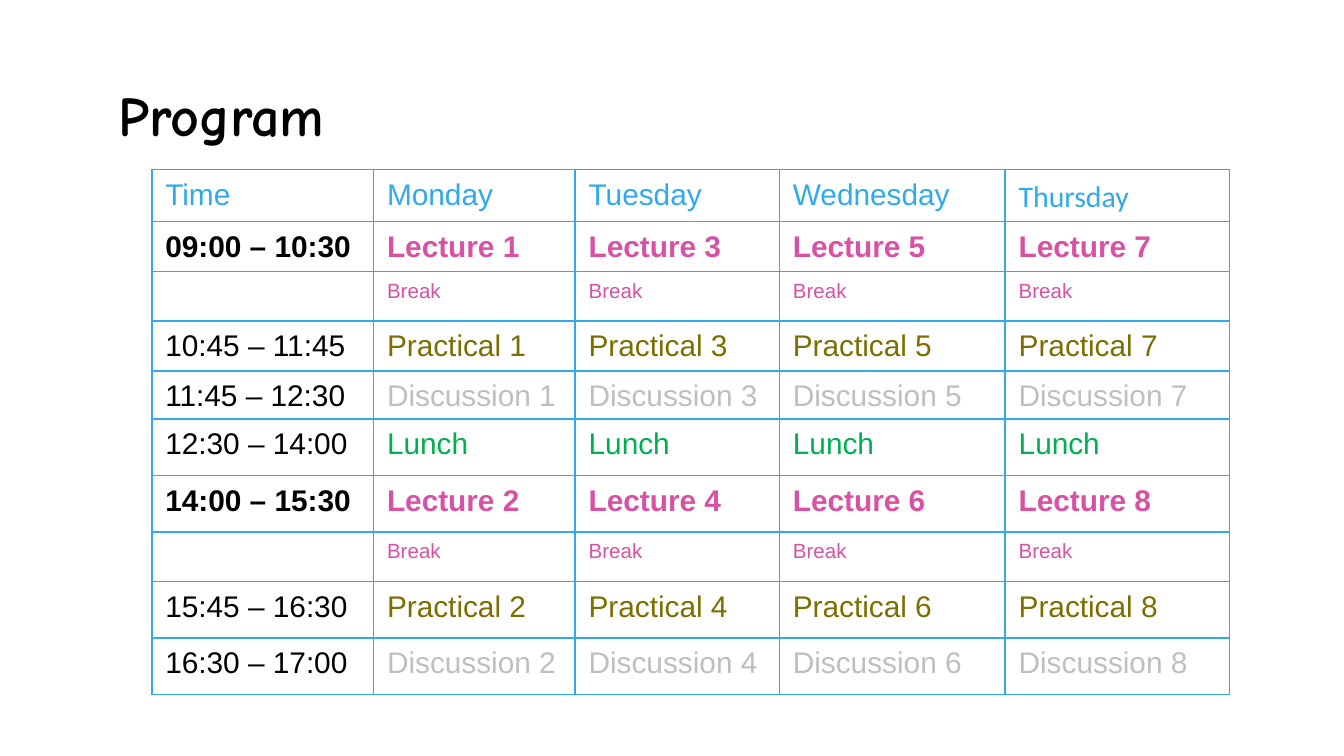
from lxml import etree
from pptx import Presentation
from pptx.dml.color import RGBColor
from pptx.enum.text import MSO_ANCHOR
from pptx.oxml.ns import qn
from pptx.util import Inches, Pt

MIDDLE = MSO_ANCHOR.MIDDLE
BLANK_LAYOUT = 6
COLORS = {
    "black": "000000",
    "white": "FFFFFF",
    "blue": "31A9EA",
    "pink": "D752A4",
    "olive": "7C6E00",
    "gray": "BFBFBF",
    "green": "00B050",
}
DAYS = ["Monday", "Tuesday", "Wednesday", "Thursday"]
SESSION_STYLES = {
    "Lecture": {"color": "pink", "bold": True},
    "Break": {"color": "pink", "size": 11},
    "Practical": {"color": "olive"},
    "Discussion": {"color": "gray"},
    "Lunch": {"color": "green"},
}
SCHEDULE = [
    ("09:00 – 10:30", "Lecture", 1),
    ("", "Break", None),
    ("10:45 – 11:45", "Practical", 1),
    ("11:45 – 12:30", "Discussion", 1),
    ("12:30 – 14:00", "Lunch", None),
    ("14:00 – 15:30", "Lecture", 2),
    ("", "Break", None),
    ("15:45 – 16:30", "Practical", 2),
    ("16:30 – 17:00", "Discussion", 2),
]
COLUMN_WIDTHS = [1.65, 1.5, 1.52, 1.68, 1.67]
ROW_HEIGHTS = [0.39, 0.37, 0.37, 0.37, 0.36, 0.42, 0.42, 0.37, 0.42, 0.42]


def write_text(paragraph, text, color="black", size=16, bold=False, font="Arial"):
    run = paragraph.add_run()
    run.text = text
    for name, value in {"name": font, "size": Pt(size), "bold": bold}.items():
        setattr(run.font, name, value)
    run.font.color.rgb = RGBColor.from_string(COLORS[color])


def add_borders(cell):
    properties = cell._tc.get_or_add_tcPr()
    for side in ("lnL", "lnR", "lnT", "lnB"):
        line = etree.SubElement(properties, qn(f"a:{side}"), w=str(Pt(1)))
        fill = etree.SubElement(line, qn("a:solidFill"))
        etree.SubElement(fill, qn("a:srgbClr"), val=COLORS["blue"])


def fill_cell(cell, text, style):
    add_borders(cell)
    cell.margin_bottom = Inches(0.02)
    cell.fill.solid()
    cell.fill.fore_color.rgb = RGBColor.from_string(COLORS["white"])
    paragraph = cell.text_frame.paragraphs[0]
    paragraph.line_spacing = 1.07
    paragraph.space_after = Pt(8)
    if text:
        write_text(paragraph, text, **style)
    else:
        etree.SubElement(paragraph._p, qn("a:endParaRPr"), sz="1600")


def schedule_rows():
    header = [("Time", {"color": "blue"})]
    for day in DAYS:
        font = "Calibri" if day == "Thursday" else "Arial"
        header.append((day, {"color": "blue", "font": font}))
    yield header
    for time, session, first in SCHEDULE:
        style = SESSION_STYLES[session]
        row = [(time, {"bold": style.get("bold", False)})]
        for day_index in range(len(DAYS)):
            label = f"{session} {first + 2 * day_index}" if first else session
            row.append((label, style))
        yield row


def add_title(slide, left, top, width, height):
    shape = slide.shapes.add_textbox(
        Inches(left), Inches(top), Inches(width), Inches(height)
    )
    frame = shape.text_frame
    frame.word_wrap = True
    frame.vertical_anchor = MIDDLE
    for side in ("left", "right", "top", "bottom"):
        setattr(frame, f"margin_{side}", Inches(0.1))
    write_text(frame.paragraphs[0], "Program", size=30, bold=True, font="Comic Neue")


def add_schedule(slide, left, top, width, height):
    table = slide.shapes.add_table(
        len(ROW_HEIGHTS), len(COLUMN_WIDTHS),
        Inches(left), Inches(top), Inches(width), Inches(height),
    ).table
    for flag in ("first_row", "horz_banding"):
        setattr(table, flag, False)
    for column, column_width in zip(table.columns, COLUMN_WIDTHS):
        column.width = Inches(column_width)
    for row, row_height, entries in zip(table.rows, ROW_HEIGHTS, schedule_rows()):
        row.height = Inches(row_height)
        for cell, (text, style) in zip(row.cells, entries):
            fill_cell(cell, text, style)


def main():
    presentation = Presentation()
    presentation.slide_width = Inches(10)
    presentation.slide_height = presentation.slide_width * 9 // 16
    slide = presentation.slides.add_slide(presentation.slide_layouts[BLANK_LAYOUT])
    add_title(slide, 0.78, 0.59, 8.88, 0.52)
    add_schedule(slide, 1.13, 1.26, sum(COLUMN_WIDTHS), sum(ROW_HEIGHTS))
    presentation.save("out.pptx")


if __name__ == "__main__":
    main()
